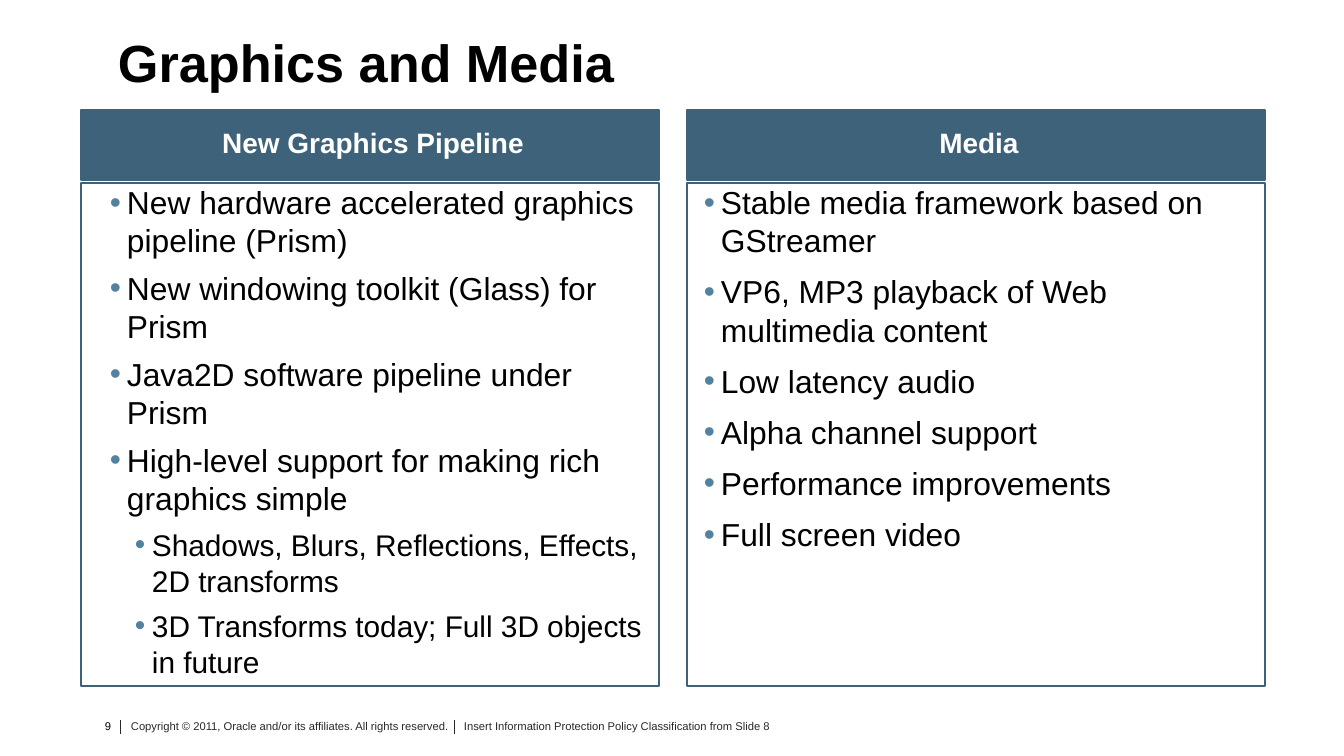
from lxml.etree import SubElement
from pptx import Presentation
from pptx.dml.color import RGBColor
from pptx.enum.shapes import MSO_CONNECTOR as Connector, MSO_SHAPE as Shape
from pptx.enum.text import MSO_ANCHOR as Anchor, PP_ALIGN as Align
from pptx.oxml.ns import qn
from pptx.util import Pt

SCALE = 914400 / 134.4
FONT = "Arial"
BLACK = RGBColor(0x00, 0x00, 0x00)
WHITE = RGBColor(0xFF, 0xFF, 0xFF)
SLATE = RGBColor(0x3E, 0x62, 0x79)
BULLET = RGBColor(0x53, 0x82, 0xA1)
FOOTER_TEXT = RGBColor(0x29, 0x29, 0x29)
DIVIDER = RGBColor(0x26, 0x26, 0x26)

PIPELINE = [
    (1, "New hardware accelerated graphics pipeline (Prism)"),
    (1, "New windowing toolkit (Glass) for Prism"),
    (1, "Java2D software pipeline under Prism"),
    (1, "High-level support for making rich graphics simple"),
    (2, "Shadows, Blurs, Reflections, Effects, 2D transforms"),
    (2, "3D Transforms today; Full 3D objects in future"),
]
MEDIA = [
    (1, "Stable media framework based on GStreamer"),
    (1, "VP6, MP3 playback of Web multimedia content"),
    (1, "Low latency audio"),
    (1, "Alpha channel support"),
    (1, "Performance improvements"),
    (1, "Full screen video"),
]


def px(length):
    """Turn pixels into EMU."""
    return round(length * SCALE)


def set_frame(frame, anchor=Anchor.TOP, insets=(0, 0, 0, 0)):
    """Set wrapping, anchor and insets (left, top, right, bottom)."""
    frame.word_wrap = True
    frame.vertical_anchor = anchor
    frame.margin_left, frame.margin_top, frame.margin_right, frame.margin_bottom = map(px, insets)


def write(paragraph, text, size, color=BLACK, bold=False, align=Align.LEFT, before=0, after=0):
    """Put formatted text into a paragraph."""
    paragraph.text = text
    paragraph.alignment = align
    paragraph.space_before, paragraph.space_after = Pt(before), Pt(after)
    font = paragraph.font
    font.name, font.size, font.bold = FONT, Pt(size), bold
    font.color.rgb = color


def add_bullet(paragraph, indent, hanging):
    """Give a paragraph a coloured bullet with a hanging indent."""
    properties = paragraph._p.get_or_add_pPr()
    properties.set("marL", str(px(indent)))
    properties.set("indent", str(px(-hanging)))
    color = SubElement(properties, qn("a:buClr"))
    SubElement(color, qn("a:srgbClr"), val=str(BULLET))
    SubElement(properties, qn("a:buFont"), typeface=FONT)
    SubElement(properties, qn("a:buChar"), char="•")


def add_box(slide, left, top, width, height, line_width, fill=None):
    """Add an outlined rectangle."""
    shape = slide.shapes.add_shape(Shape.RECTANGLE, px(left), px(top), px(width), px(height))
    shape.shadow.inherit = False
    shape.line.color.rgb = SLATE
    shape.line.width = Pt(line_width)
    if fill is None:
        shape.fill.background()
    else:
        shape.fill.solid()
        shape.fill.fore_color.rgb = fill
    return shape


def add_title(slide, left, top, width, height, text):
    """Place and fill the title placeholder."""
    title = slide.shapes.title
    title.left, title.top, title.width, title.height = map(px, (left, top, width, height))
    set_frame(title.text_frame, Anchor.BOTTOM)
    write(title.text_frame.paragraphs[0], text, 28, bold=True)


def add_panel(slide, left, top, width, height, heading, items, indents, before, after):
    """Add a heading bar above a box of bulleted items."""
    header = add_box(slide, left, top, width, 70, 1, SLATE)
    set_frame(header.text_frame, Anchor.MIDDLE, (13, 0, 7, 6))
    write(header.text_frame.paragraphs[0], heading, 15, WHITE, True, Align.CENTER)
    body = add_box(slide, left, top + 73, width, height - 73, 0.75)
    frame = body.text_frame
    set_frame(frame)
    for index, (level, text) in enumerate(items):
        paragraph = frame.add_paragraph() if index else frame.paragraphs[0]
        paragraph.level = level
        add_bullet(paragraph, indents[level - 1], 17)
        write(paragraph, text, 18 - level, before=before if index else 0, after=after)


def add_footer_text(slide, left, top, width, text, color=FOOTER_TEXT, align=Align.LEFT):
    """Add one small footer text."""
    box = slide.shapes.add_textbox(px(left), px(top), px(width), px(32))
    set_frame(box.text_frame, insets=(5, 3, 5, 3))
    write(box.text_frame.paragraphs[0], text, 6, color, align=align)


def add_footer(slide, left, top):
    """Add the page number, two notes and the dividers between them."""
    add_footer_text(slide, left, top, 23, "9", BLACK, Align.RIGHT)
    add_footer_text(slide, left + 33, top, 328,
                    "Copyright © 2011, Oracle and/or its affiliates. All rights reserved.")
    add_footer_text(slide, left + 366, top, 332,
                    "Insert Information Protection Policy Classification from Slide 8")
    for offset in (28, 362):
        x = px(left + offset)
        line = slide.shapes.add_connector(Connector.STRAIGHT, x, px(top + 4), x, px(top + 18))
        line.line.color.rgb = DIVIDER
        line.line.width = Pt(0.5)
        SubElement(line._element.spPr, qn("a:effectLst"))


def main():
    """Build and save the slide."""
    presentation = Presentation()
    presentation.slide_width, presentation.slide_height = px(1344), px(756)
    slide = presentation.slides.add_slide(presentation.slide_layouts[5])
    add_title(slide, 118, 30, 1195, 63, "Graphics and Media")
    add_panel(slide, 687, 110, 578, 576, "Media", MEDIA, (34,), 5, 2)
    add_panel(slide, 81, 110, 578, 576, "New Graphics Pipeline", PIPELINE, (46, 71), 5.2, 0)
    add_footer(slide, 93, 716)
    presentation.save("out.pptx")


if __name__ == "__main__":
    main()
